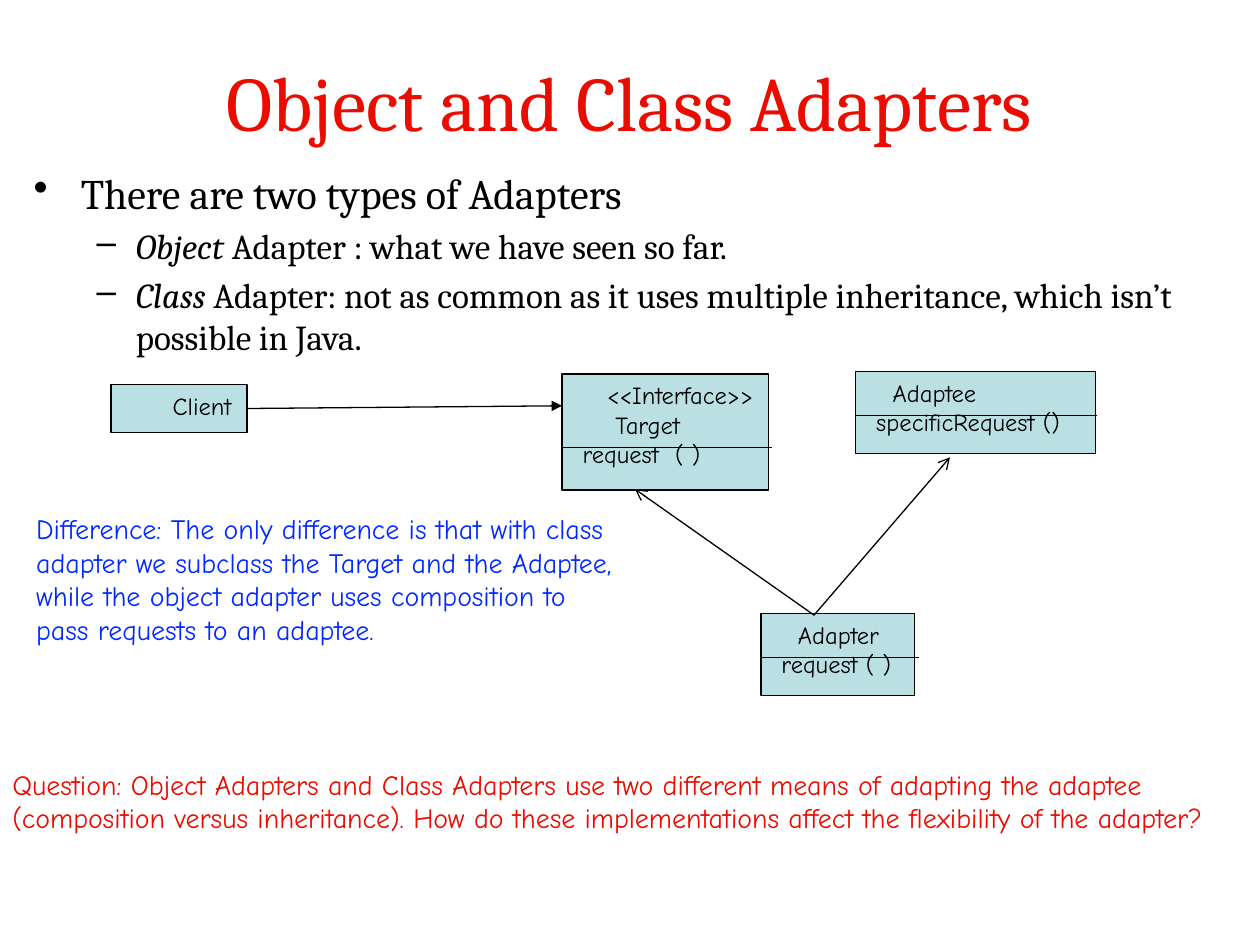
import pptx
import pptx.util
import pptx.dml.color
import pptx.enum.shapes
import pptx.enum.text
from dataclasses import dataclass
from lxml import etree
from pptx.oxml.ns import qn

Cm, Pt = pptx.util.Cm, pptx.util.Pt
Rgb = pptx.dml.color.RGBColor.from_string
Align, Anchor = pptx.enum.text.PP_ALIGN, pptx.enum.text.MSO_ANCHOR
Kind = pptx.enum.shapes.MSO_SHAPE
Line = pptx.enum.shapes.MSO_CONNECTOR


@dataclass(frozen=True)
class Theme:
    serif: str = "Cambria"
    hand: str = "Comic Neue"
    ink: str = "000000"
    red: str = "EA0C00"
    blue: str = "0229FF"
    fill: str = "BBE0E3"
    title: int = 44
    body: int = 24
    sub: int = 20
    note: int = 16
    label: int = 14
    rule: float = 0.75
    space: float = 0.165  # width of one indent step in the class boxes


theme = Theme()


def write(para, text, font=theme.hand, size=theme.label, color=theme.ink,
          italic=False, align=Align.LEFT):
    para.alignment = align
    run = para.add_run()
    run.text = text
    run.font.name = font
    run.font.size = Pt(size)
    run.font.italic = italic
    run.font.color.rgb = Rgb(color)


def next_para(frame, index):
    return frame.paragraphs[0] if index == 0 else frame.add_paragraph()


def indent(para, left, first=0):
    props = para._p.get_or_add_pPr()
    props.set("marL", str(Cm(left)))
    props.set("indent", str(Cm(first)))
    return props


def add_title(slide, text):
    title = slide.shapes.title
    title.left, title.top = Cm(0.84), Cm(0.43)
    title.width, title.height = Cm(23.7), Cm(3.18)
    frame = title.text_frame
    frame.vertical_anchor = Anchor.MIDDLE
    write(frame.paragraphs[0], text, font=theme.serif, size=theme.title,
          color=theme.red, align=Align.CENTER)


def add_box(slide, left, top, width, height):
    box = slide.shapes.add_textbox(Cm(left), Cm(top), Cm(width), Cm(height))
    box.text_frame.word_wrap = True
    return box.text_frame


def add_list(slide, items):
    """Each item is a level, an italic lead (may be empty) and the rest."""
    frame = add_box(slide, 0.43, 3.25, 24.13, 12.7)
    looks = [(0.95, -0.95, "•", theme.body), (2.06, -0.79, "–", theme.sub)]
    for index, (level, lead, rest) in enumerate(items):
        left, hang, mark, size = looks[level]
        para = next_para(frame, index)
        para.level = level
        props = indent(para, left, hang)
        etree.SubElement(props, qn("a:buChar")).set("char", mark)
        if index:
            para.space_before = Pt(size * 0.2)
        if lead:
            write(para, lead, font=theme.serif, size=size, italic=True)
        write(para, rest, font=theme.serif, size=size)


def add_note(slide, text, color, *place):
    para = add_box(slide, *place).paragraphs[0]
    write(para, text, size=theme.note, color=color)


def add_line(slide, start, end, head=None):
    line = slide.shapes.add_connector(
        Line.STRAIGHT, *(Cm(value) for value in (*start, *end)))
    line.line.color.rgb = Rgb(theme.ink)
    line.line.width = Pt(theme.rule)
    if head:
        tail = etree.SubElement(line.line._get_or_add_ln(), qn("a:tailEnd"))
        tail.set("type", head)
    etree.SubElement(line._element.spPr, qn("a:effectLst"))
    return line


def add_class(slide, left, top, width, height, rows):
    """Each row is its indent in steps and its text."""
    box = slide.shapes.add_shape(
        Kind.RECTANGLE, Cm(left), Cm(top), Cm(width), Cm(height))
    box.shadow.inherit = False
    box.fill.solid()
    box.fill.fore_color.rgb = Rgb(theme.fill)
    box.line.color.rgb = Rgb(theme.ink)
    box.line.width = Pt(theme.rule)
    frame = box.text_frame
    frame.word_wrap = True
    frame.vertical_anchor = Anchor.TOP
    frame.margin_right = 0
    for index, (steps, text) in enumerate(rows):
        para = next_para(frame, index)
        indent(para, steps * theme.space)
        write(para, text)
    return box


def add_diagram(slide):
    client = add_class(slide, 2.24, 7.75, 2.74, 0.97, [(6, "Client")])
    add_class(slide, 11.33, 7.54, 4.17, 2.34,
              [(4, "<<Interface>>"), (5, "Target"), (1, "request  ( )")])
    add_class(slide, 15.34, 12.37, 3.1, 1.65,
              [(3, "Adapter"), (1, "request ( )")])
    add_class(slide, 17.25, 7.49, 4.83, 1.65,
              [(3, "Adaptee"), (1, "specificRequest ()")])
    for left, y, right in [(11.33, 9.02, 15.57), (17.25, 8.38, 22.12),
                           (15.34, 13.26, 18.52)]:
        add_line(slide, (left, y), (right, y))
    link = add_line(slide, (4.98, 8.18), (11.33, 8.18), "triangle")
    link.begin_connect(client, 3)
    for end in [(12.8, 9.86), (19.15, 9.22)]:
        add_line(slide, (16.41, 12.4), end, "arrow")


def main():
    deck = pptx.Presentation()
    deck.slide_width, deck.slide_height = Cm(25.4), Cm(19.05)
    slide = deck.slides.add_slide(deck.slide_layouts[5])
    add_title(slide, "Object and Class Adapters")
    add_list(slide, [
        (0, "", "There are two types of Adapters"),
        (1, "Object", " Adapter : what we have seen so far."),
        (1, "Class", " Adapter: not as common as it uses multiple "
                     "inheritance, which isn’t possible in Java."),
    ])
    add_diagram(slide)
    add_note(slide, "Difference: The only difference is that with class "
             "adapter we subclass the Target and the Adaptee, while the "
             "object adapter uses composition to pass requests to an "
             "adaptee.", theme.blue, 0.48, 10.19, 12.12, 4.19)
    add_note(slide, "Question: Object Adapters and Class Adapters use two "
             "different means of adapting the adaptee (composition versus "
             "inheritance). How do these implementations affect the "
             "flexibility of the adapter?", theme.red, 0, 15.34, 24.77, 2.62)
    deck.save("out.pptx")


if __name__ == "__main__":
    main()
